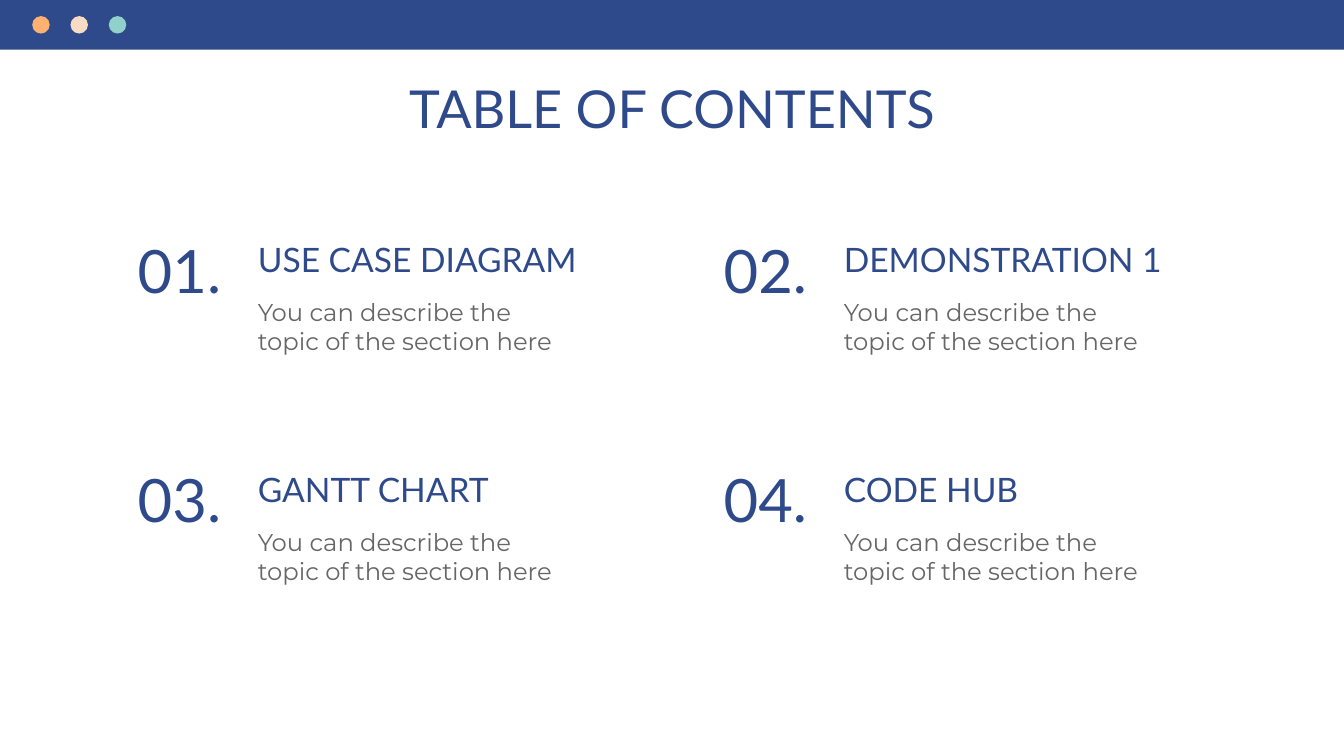
from pptx import Presentation
from pptx.dml.color import RGBColor
from pptx.enum.shapes import MSO_SHAPE
from pptx.enum.text import MSO_ANCHOR, PP_ALIGN
from pptx.util import Inches, Pt

TOPICS = ["USE CASE DIAGRAM", "DEMONSTRATION 1", "GANTT CHART", "CODE HUB"]
DESCRIPTION_TEXT = "You can describe the topic of the section here"

SLIDE_WIDTH = Inches(10)
SLIDE_HEIGHT = SLIDE_WIDTH * 9 // 16

COLUMNS = 2
GRID_LEFT, GRID_TOP = 0.84, 1.68
COLUMN_STEP, ROW_STEP = 4.36, 1.71


def color(hex_string):
    return RGBColor.from_string(hex_string)


class ContentsSlide:
    NAVY = "2F4A8A"
    GRAY = "666666"
    DOT_COLORS = ["FFB172", "F8DBC4", "90D1CB"]
    HEADING = {"name": "Lato", "size": Pt(28)}
    NUMBER = {"name": "Lato", "size": Pt(32)}
    TOPIC = {"name": "Lato", "size": Pt(18)}
    DESCRIPTION = {"name": "Montserrat", "size": Pt(13)}

    def __init__(self, presentation):
        self.slide = presentation.slides.add_slide(presentation.slide_layouts[6])

    def add_filled_shape(self, preset, left, top, width, height, fill):
        shape = self.slide.shapes.add_shape(
            preset, Inches(left), Inches(top), Inches(width), Inches(height))
        shape.shadow.inherit = False
        shape.fill.solid()
        shape.fill.fore_color.rgb = color(fill)
        shape.line.fill.background()

    def add_text(self, text, left, top, width, height, font_format, text_color=NAVY,
                 alignment=PP_ALIGN.LEFT, anchor=MSO_ANCHOR.TOP, space_after=0):
        text_box = self.slide.shapes.add_textbox(
            Inches(left), Inches(top), Inches(width), Inches(height))
        frame = text_box.text_frame
        frame_format = {"word_wrap": True, "vertical_anchor": anchor}
        for side in ("left", "top", "right", "bottom"):
            frame_format[f"margin_{side}"] = Inches(0.1)
        for attribute, value in frame_format.items():
            setattr(frame, attribute, value)
        paragraph = frame.paragraphs[0]
        paragraph.alignment = alignment
        paragraph.space_after = Pt(space_after)
        run = paragraph.add_run()
        run.text = text
        for attribute, value in font_format.items():
            setattr(run.font, attribute, value)
        run.font.color.rgb = color(text_color)

    def add_heading(self, text):
        self.add_text(text, 0.78, 0.47, 8.44, 0.51, self.HEADING,
                      alignment=PP_ALIGN.CENTER)

    def add_entry(self, index, topic):
        row, column = divmod(index, COLUMNS)
        left = GRID_LEFT + column * COLUMN_STEP
        top = GRID_TOP + row * ROW_STEP
        text_left = left + 0.98
        self.add_text(topic, text_left, top, 2.95, 0.51, self.TOPIC)
        self.add_text(f"{index + 1:02}.", left, top + 0.05, 0.99, 0.64, self.NUMBER,
                      alignment=PP_ALIGN.CENTER, anchor=MSO_ANCHOR.BOTTOM)
        self.add_text(DESCRIPTION_TEXT, text_left, top + 0.43, 2.49, 0.64,
                      self.DESCRIPTION, self.GRAY, space_after=12)

    def add_window_bar(self):
        self.add_filled_shape(MSO_SHAPE.RECTANGLE, 0, 0, 10, 0.37, self.NAVY)
        for index, fill in enumerate(self.DOT_COLORS):
            self.add_filled_shape(
                MSO_SHAPE.OVAL, 0.24 + index * 0.57 / 2, 0.12, 0.13, 0.13, fill)


def main():
    presentation = Presentation()
    presentation.slide_width = SLIDE_WIDTH
    presentation.slide_height = SLIDE_HEIGHT

    contents = ContentsSlide(presentation)
    contents.add_heading("TABLE OF CONTENTS")
    for index, topic in enumerate(TOPICS):
        contents.add_entry(index, topic)
    contents.add_window_bar()

    presentation.save("out.pptx")


if __name__ == "__main__":
    main()
